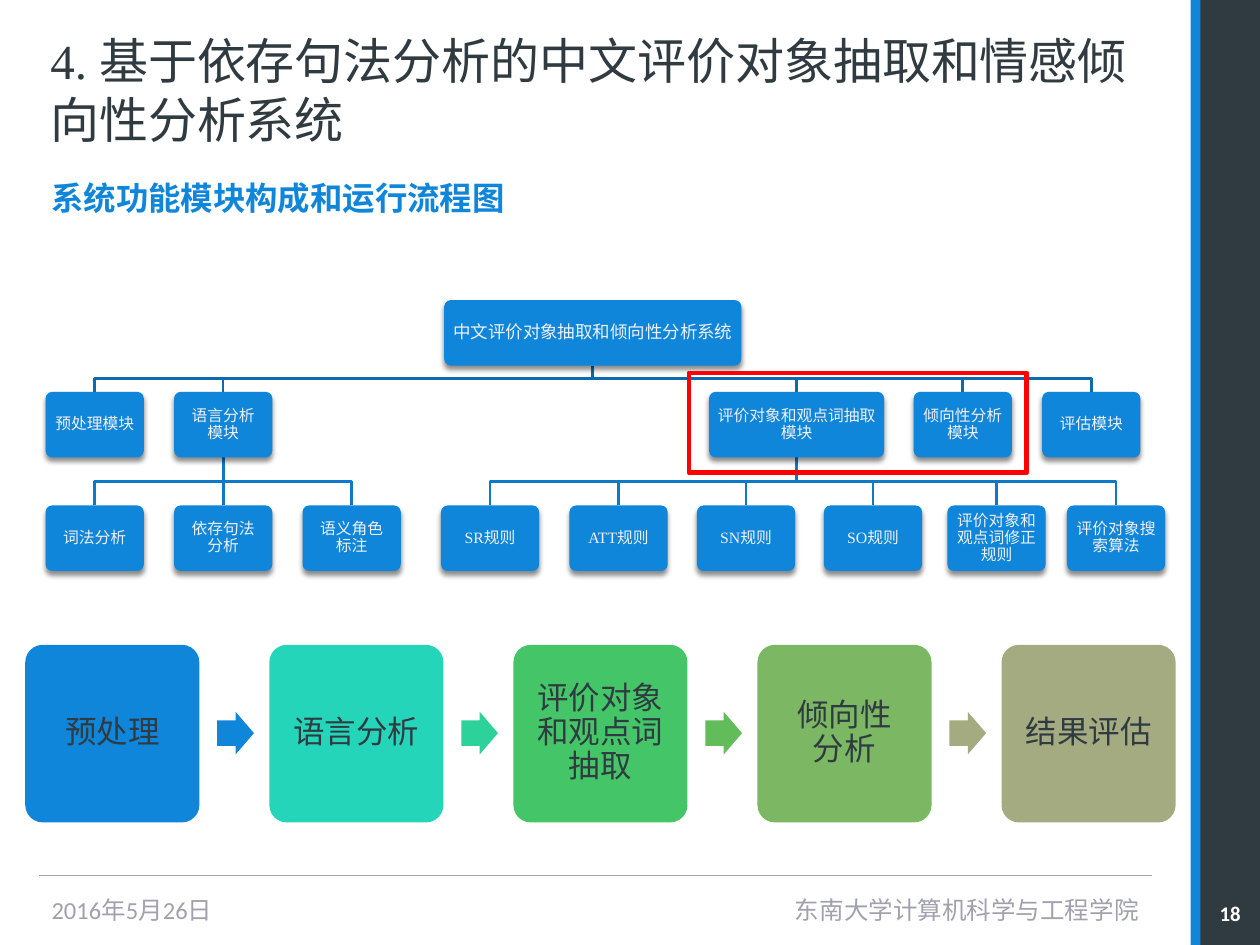
from pptx import Presentation
from pptx.dml.color import RGBColor as RGB
from pptx.enum.shapes import MSO_CONNECTOR as LINK, MSO_SHAPE as KIND
from pptx.enum.text import MSO_ANCHOR as ANCHOR, PP_ALIGN as ALIGN
from pptx.oxml import parse_xml
from pptx.util import Cm, Pt

NS = 'xmlns:a="http://schemas.openxmlformats.org/drawingml/2006/main"'
SHADOW = (f'<a:outerShdw {NS} blurRad="38100" dist="30480" dir="5400000" '
          'algn="ctr" rotWithShape="0"><a:srgbClr val="000000">'
          '<a:alpha val="45000"/></a:srgbClr></a:outerShdw>')
BLUE, DARK, GRAY, PALE = "0F86DA", "303B41", "A1A1AD", "F0F0F2"
SANS, SERIF = "Calibri", "Times New Roman"


def color(code):
    return RGB.from_string(code)


class Deck:
    def __init__(self):
        self.prs = Presentation()
        self.prs.slide_width, self.prs.slide_height = Cm(25.4), Cm(19.05)
        self.slide = self.prs.slides.add_slide(self.prs.slide_layouts[5])
        self.shapes = self.slide.shapes

    def letter(self, shape, text, size, ink, font=SANS, bold=False,
               align=ALIGN.LEFT, space=1.0, inset=None):
        frame = shape.text_frame
        form = {"word_wrap": True, "vertical_anchor": ANCHOR.MIDDLE}
        if inset is not None:
            form.update({f"margin_{side}": Cm(inset)
                         for side in ("left", "right", "top", "bottom")})
        for key, value in form.items():
            setattr(frame, key, value)
        para = frame.paragraphs[0]
        para.text, para.alignment, para.line_spacing = text, align, space
        for run in para.runs:
            for key, value in {"name": font, "size": Pt(size), "bold": bold}.items():
                setattr(run.font, key, value)
            run.font.color.rgb = color(ink)

    def title(self, box, text, size, ink, **form):
        shape = self.shapes.title
        for key, value in zip(("left", "top", "width", "height"), box):
            setattr(shape, key, Cm(value))
        self.letter(shape, text, size, ink, **form)

    def label(self, box, text, size, ink, **form):
        shape = self.shapes.add_textbox(*map(Cm, box))
        self.letter(shape, text, size, ink, **form)

    def shape(self, kind, box, fill=None, line=None, width=1, adjust=()):
        shape = self.shapes.add_shape(kind, *map(Cm, box))
        shape.shadow.inherit = False
        for i, value in enumerate(adjust):
            shape.adjustments[i] = value
        if fill:
            shape.fill.solid()
            shape.fill.fore_color.rgb = color(fill)
        else:
            shape.fill.background()
        if line:
            shape.line.color.rgb, shape.line.width = color(line), Pt(width)
        else:
            shape.line.fill.background()
        return shape

    def card(self, box, fill, text, size, ink, inset, font=SANS, shadow=False):
        shape = self.shape(KIND.ROUNDED_RECTANGLE, box, fill, adjust=[0.1])
        if shadow:
            shape._element.spPr.find(
                "{http://schemas.openxmlformats.org/drawingml/2006/main}effectLst"
            ).append(parse_xml(SHADOW))
        self.letter(shape, text, size, ink, font=font, align=ALIGN.CENTER,
                    space=0.9, inset=inset)

    def line(self, start, end, ink, width):
        link = self.shapes.add_connector(LINK.STRAIGHT, *map(Cm, start + end))
        link.line.color.rgb, link.line.width = color(ink), Pt(width)
        link._element.spPr.append(parse_xml(f"<a:effectLst {NS}/>"))

    def elbow(self, start, mid, end, ink, width=1.5):
        if start[0] == end[0]:
            return self.line(start, end, ink, width)
        points = [start, (start[0], mid), (end[0], mid), end]
        points = [(Cm(x), Cm(y)) for x, y in points]
        build = self.shapes.build_freeform(*points[0])
        build.add_line_segments(points[1:], close=False)
        track = build.convert_to_shape()
        track.shadow.inherit = False
        track.fill.background()
        track.line.color.rgb, track.line.width = color(ink), Pt(width)


# Module tree: text, centre, width, font, children
def leaf(text, x, font=SERIF):
    return text, x, 1.98, font, []


TREE = ("中文评价对象抽取和倾向性分析系统", 11.95, 5.99, SANS, [
    leaf("预处理模块", 1.91, SANS),
    ("语言分析\v模块", 4.5, 1.98, SANS, [
        leaf("词法分析", 1.91, SANS),
        leaf("依存句法\v分析", 4.5, SANS),
        leaf("语义角色\v标注", 7.09, SANS)]),
    ("评价对象和观点词抽取模块", 16.06, 3.53, SANS, [
        leaf("SR规则", 9.88),
        leaf("ATT规则", 12.47),
        leaf("SN规则", 15.04),
        leaf("SO规则", 17.6),
        leaf("评价对象和观点词修正规则", 20.09),
        leaf("评价对象搜索算法", 22.5)]),
    leaf("倾向性分析模块", 19.41, SANS),
    leaf("评估模块", 22, SANS)])
TOPS, HIGH = [6.05, 7.9, 10.19], 1.32
EDGES = ["0C6BAF", "0E7AC6"]


def grow(deck, node, level=0):
    text, x, wide, font, kids = node
    base = TOPS[level] + HIGH
    for kid in kids:
        top = TOPS[level + 1]
        deck.elbow((x, base), (base + top) / 2, (kid[1], top), EDGES[level])
        grow(deck, kid, level + 1)
    deck.card((x - wide / 2, TOPS[level], wide, HIGH), BLUE, text,
              9 if level else 10, PALE, 0.13, font, shadow=True)


# Process steps: text, card fill, fill of the arrow that follows
STEPS = [("预处理", BLUE, BLUE),
         ("语言分析", "25D5BA", "2DD29A"),
         ("评价对象和观点词抽取", "44C668", "63BC5A"),
         ("倾向性\v分析", "7CB764", "A5AB81"),
         ("结果评估", "A5AB81", None)]


def main():
    deck = Deck()

    # Side bars and footer
    deck.shape(KIND.RECTANGLE, (24, 0, 1.4, 19.05), BLUE)
    deck.shape(KIND.RECTANGLE, (24.2, 0, 1.2, 19.05), DARK)
    deck.line((0.79, 17.65), (23.22, 17.65), GRAY, 0.79)
    deck.label((0.79, 17.83, 4.95, 1.02), "2016年5月26日", 14, GRAY)
    deck.label((8.15, 17.83, 15.06, 1.02), "东南大学计算机科学与工程学院",
               14, GRAY, align=ALIGN.RIGHT)
    deck.label((24.2, 18.06, 1.2, 0.69), "18", 11.9, "FFFFFF", bold=True,
               align=ALIGN.CENTER, inset=0)

    # Headings
    deck.title((0.76, 0.43, 22.66, 2.74),
               "4. 基于依存句法分析的中文评价对象抽取和情感倾向性分析系统",
               28, DARK, font=SERIF)
    deck.label((0.79, 3.48, 22.63, 0.99), "系统功能模块构成和运行流程图",
               18.5, BLUE, bold=True)

    # Process row
    for i, (text, fill, tip) in enumerate(STEPS):
        x = 0.51 + i * 4.92
        deck.card((x, 13, 3.51, 3.58), fill, text, 18, DARK, 0.28)
        if tip:
            deck.shape(KIND.RIGHT_ARROW, (x + 3.87, 14.35, 0.74, 0.86), tip,
                       adjust=[0.6, 0.5])

    # Module tree and its highlight
    grow(deck, TREE)
    deck.shape(KIND.RECTANGLE, (13.89, 7.52, 6.81, 2.01), line="FF0000", width=2.75)

    deck.prs.save("out.pptx")


if __name__ == "__main__":
    main()
